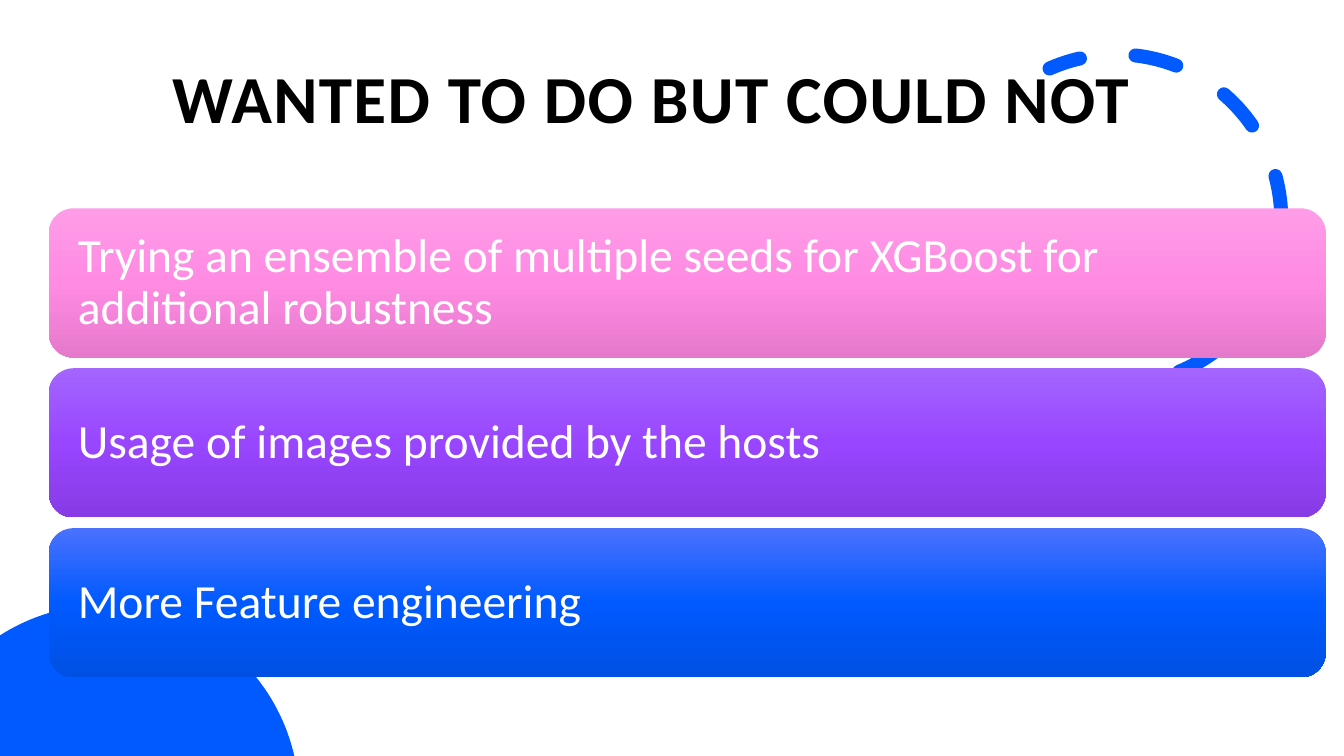
from copy import deepcopy
from dataclasses import dataclass
from math import acos, asin, cos, pi, sin

from lxml import etree
from pptx import Presentation
from pptx.dml.color import RGBColor
from pptx.enum.dml import MSO_LINE
from pptx.enum.shapes import MSO_SHAPE
from pptx.enum.text import MSO_ANCHOR, PP_ALIGN
from pptx.util import Cm, Pt

ARC, ROUNDED = MSO_SHAPE.ARC, MSO_SHAPE.ROUNDED_RECTANGLE
DASH = MSO_LINE.DASH
MIDDLE, BOTTOM = MSO_ANCHOR.MIDDLE, MSO_ANCHOR.BOTTOM
LEFT, CENTER = PP_ALIGN.LEFT, PP_ALIGN.CENTER


@dataclass(frozen=True)
class Theme:
    font: str = "Calibri"
    title_size: Pt = Pt(48)
    card_size: Pt = Pt(34)
    black: RGBColor = RGBColor(0, 0, 0)
    white: RGBColor = RGBColor(255, 255, 255)
    blue: RGBColor = RGBColor.from_string("005AFF")
    pink_shades: tuple = ("FF9CE7", "FF8BE3", "E579CB")
    purple_shades: tuple = ("A465FF", "9846FF", "873BE5")
    blue_shades: tuple = ("4B71FF", "005AFF", "0050E3")


theme = Theme()


def write(shape, text, size, color, align, anchor, insets):
    frame = shape.text_frame
    frame.word_wrap = True
    frame.vertical_anchor = anchor
    frame.margin_left, frame.margin_top, frame.margin_right, frame.margin_bottom = map(Cm, insets)
    paragraph = frame.paragraphs[0]
    paragraph.text = text
    paragraph.alignment = align
    paragraph.line_spacing = 0.9
    paragraph.font.name = theme.font
    paragraph.font.size = size
    paragraph.font.color.rgb = color
    return paragraph


prs = Presentation()
prs.slide_width, prs.slide_height = Cm(33.87), Cm(19.05)
slide = prs.slides.add_slide(prs.slide_layouts[5])
shapes = slide.shapes

# Dashed arc, top right
arc = shapes.add_shape(ARC, Cm(23.98), Cm(1.37), Cm(8.31), Cm(8.31))
arc.shadow.inherit = False
arc.adjustments[0] = 144.42 * 0.6
arc.adjustments[1] = 0
arc.rotation = 66.1
arc._element.spPr.xfrm.set("flipH", "1")
arc.fill.background()
arc.line.color.rgb = theme.blue
arc.line.width = Pt(10)
arc.line.dash_style = DASH
arc.line._ln.set("cap", "rnd")

# Title
title = shapes.title
title.left, title.top, title.width, title.height = Cm(1.22), Cm(-0.2), Cm(31.65), Cm(3.68)
heading = write(title, "WANTED TO DO BUT COULD NOT", theme.title_size, theme.black,
                CENTER, BOTTOM, (0, 0, 1.27, 0))
heading.font.bold = True
heading.runs[0].font._element.set("spc", "100")

# Circle cut off by the bottom left corner
center_x, center_y, radius, floor, steps = 2.64, 20.14, 4.9, 19.05, 60
start = pi + acos(center_x / radius)
end = 2 * pi - asin((center_y - floor) / radius)
rim = []
for step in range(steps + 1):
    angle = start + (end - start) * step / steps
    rim.append((Cm(center_x + radius * cos(angle)), Cm(center_y + radius * sin(angle))))
outline = shapes.build_freeform(Cm(0), Cm(floor))
outline.add_line_segments(rim, close=True)
corner_circle = outline.convert_to_shape()
corner_circle.shadow.inherit = False
corner_circle.fill.solid()
corner_circle.fill.fore_color.rgb = theme.blue
corner_circle.line.fill.background()

# Cards
ideas = [
    ("Trying an ensemble of multiple seeds for XGBoost for additional robustness", theme.pink_shades),
    ("Usage of images provided by the hosts", theme.purple_shades),
    ("More Feature engineering", theme.blue_shades),
]
for row, (idea, shades) in enumerate(ideas):
    card = shapes.add_shape(ROUNDED, Cm(1.23), Cm(5.25 + 4.03 * row), Cm(32.18), Cm(3.76))
    card.shadow.inherit = False
    card.line.fill.background()
    card.fill.gradient()
    card.fill.gradient_angle = 270
    stop_list = card._element.spPr.find(".//{*}gsLst")
    stop_list.append(deepcopy(stop_list[-1]))
    for stop, position, shade in zip(card.fill.gradient_stops, (0, 0.5, 1), shades):
        stop.position = position
        stop.color.rgb = RGBColor.from_string(shade)
    write(card, idea, theme.card_size, theme.white, LEFT, MIDDLE, (0.55, 0.55, 0.55, 0.55))

prs.save("out.pptx")
